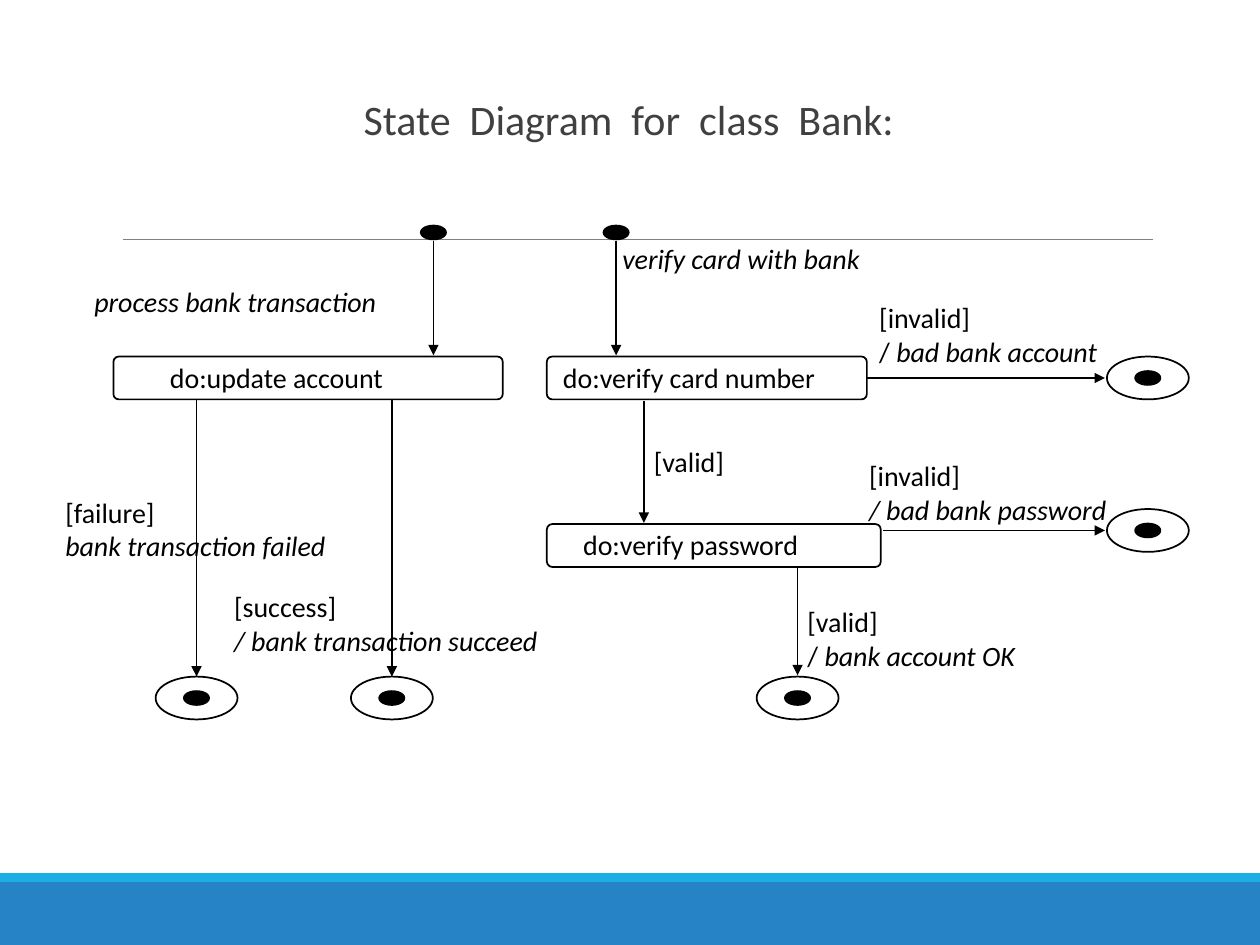
from pptx import Presentation
from pptx.dml.color import RGBColor
from pptx.enum.shapes import MSO_CONNECTOR, MSO_SHAPE
from pptx.enum.text import MSO_ANCHOR, MSO_AUTO_SIZE, PP_ALIGN
from pptx.oxml.ns import qn
from pptx.util import Inches, Pt
from lxml.etree import SubElement

BLACK = RGBColor(0, 0, 0)
DARK = RGBColor(0x40, 0x40, 0x40)
GRAY = RGBColor(0x80, 0x80, 0x80)
BLUE = RGBColor(0x26, 0x83, 0xC6)
CYAN = RGBColor(0x1C, 0xAD, 0xE4)
FONT = "Calibri"

TITLE = "State Diagram for class Bank:"

# left, top, width
STATES = {
    "update": (0.9, 2.83, 3.09),
    "password": (4.34, 4.16, 2.65),
    "card": (4.34, 2.83, 2.54),
}
STATE_H = 0.34

# centers
STARTS = [(3.44, 1.845), (4.89, 1.845)]
FINALS = [(9.11, 3), (9.11, 4.21), (6.33, 5.54), (3.11, 5.54), (1.56, 5.54)]
DOT = (0.2, 0.11)
RING = (0.65, 0.34)

# x1, y1, x2, y2, state whose right side it leaves from
ARROWS = [
    (3.44, 1.91, 3.44, 2.82, None),
    (4.89, 1.91, 4.89, 2.82, None),
    (6.88, 3, 8.77, 3, "card"),
    (7.01, 4.21, 8.77, 4.21, None),
    (5.11, 3.18, 5.11, 4.15, None),
    (6.33, 4.5, 6.33, 5.36, None),
    (3.11, 3.17, 3.11, 5.37, None),
    (1.56, 3.17, 1.56, 5.37, None),
]

# left, top, width, height, lines of (text, italic) runs
LABELS = [
    (1.25, 2.81, 2.05, 0.37, [[("do:update account", False)]]),
    (4.37, 2.81, 2.64, 0.37, [[("do:verify card number", False)]]),
    (4.53, 4.14, 2.07, 0.37, [[("do:verify password", False)]]),
    (0.65, 2.21, 2.69, 0.37, [[("process bank transaction", True)]]),
    (4.84, 1.87, 2.25, 0.37, [[("verify card with bank", True)]]),
    (6.88, 2.34, 2.1, 0.64,
     [[("[invalid]", False)], [("/", False), (" bad bank account", True)]]),
    (5.09, 3.48, 0.79, 0.37, [[("[valid]", False)]]),
    (6.8, 3.59, 2.27, 0.64,
     [[("[invalid]", False)], [("/ bad bank password", True)]]),
    (6.31, 4.75, 2.05, 0.64,
     [[("[valid]", False)], [("/", False), (" bank account OK", True)]]),
    (0.42, 3.88, 2.44, 0.91,
     [[("[failure]", False)], [("bank transaction failed", True)]]),
    (1.76, 4.63, 2.87, 0.91,
     [[("[success]", False)], [("/ bank transaction succeed", True)]]),
]

prs = Presentation()
prs.slide_width, prs.slide_height = Inches(10), Inches(7.5)
slide = prs.slides.add_slide(prs.slide_layouts[6])
shapes = slide.shapes


def add_shape(kind, x, y, w, h, fill=None, line=None):
    shape = shapes.add_shape(kind, Inches(x), Inches(y), Inches(w), Inches(h))
    shape.shadow.inherit = False
    if fill is None:
        shape.fill.background()
    else:
        shape.fill.solid()
        shape.fill.fore_color.rgb = fill
    if line is None:
        shape.line.fill.background()
    else:
        shape.line.color.rgb = line
        shape.line.width = Pt(1)
    return shape


def add_oval(center, size, fill=None):
    (x, y), (w, h) = center, size
    add_shape(MSO_SHAPE.OVAL, x - w / 2, y - h / 2, w, h, fill, BLACK)


def add_line(x1, y1, x2, y2, color, width):
    line = shapes.add_connector(MSO_CONNECTOR.STRAIGHT, Inches(x1), Inches(y1),
                                Inches(x2), Inches(y2))
    line.line.color.rgb = color
    line.line.width = Pt(width)
    SubElement(line._element.spPr, qn("a:effectLst"))
    return line


def add_run(para, text, size, color, italic=False):
    run = para.add_run()
    run.text = text
    font = run.font
    font.name, font.size, font.italic = FONT, Pt(size), italic
    font.color.rgb = color
    return run


def add_title():
    """Center the title, with each space stretched to double width."""
    box = shapes.add_textbox(Inches(0.3), Inches(0.73), Inches(9.38), Inches(0.48))
    frame = box.text_frame
    frame.word_wrap = True
    frame.vertical_anchor = MSO_ANCHOR.MIDDLE
    frame.margin_left = frame.margin_right = 0
    para = frame.paragraphs[0]
    para.alignment = PP_ALIGN.CENTER
    para.line_spacing = 0.9
    for i, word in enumerate(TITLE.split()):
        if i:
            gap = add_run(para, " ", 24, DARK)
            gap.font._element.set("spc", "540")
        add_run(para, word, 24, DARK)


def add_label(x, y, w, h, lines):
    box = shapes.add_textbox(Inches(x), Inches(y), Inches(w), Inches(h))
    frame = box.text_frame
    frame.word_wrap = False
    frame.auto_size = MSO_AUTO_SIZE.SHAPE_TO_FIT_TEXT
    for i, runs in enumerate(lines):
        para = frame.add_paragraph() if i else frame.paragraphs[0]
        for text, italic in runs:
            add_run(para, text, 16, BLACK, italic)


add_shape(MSO_SHAPE.RECTANGLE, 0, 7, 10, 0.5, BLUE)
add_shape(MSO_SHAPE.RECTANGLE, 0, 6.93, 10, 0.07, CYAN)
add_line(0.98, 1.9, 9.15, 1.9, GRAY, 0.5)
add_title()

boxes = {}
for name, (x, y, w) in STATES.items():
    box = add_shape(MSO_SHAPE.ROUNDED_RECTANGLE, x, y, w, STATE_H, line=BLACK)
    box.adjustments[0] = 0.125
    boxes[name] = box

for center in STARTS:
    add_oval(center, DOT, BLACK)
for center in FINALS:
    add_oval(center, DOT, BLACK)
    add_oval(center, RING)

for *ends, source in ARROWS:
    arrow = add_line(*ends, BLACK, 1)
    SubElement(arrow.line._get_or_add_ln(), qn("a:tailEnd"), type="triangle")
    if source:
        arrow.begin_connect(boxes[source], 3)

for label in LABELS:
    add_label(*label)

prs.save("out.pptx")
